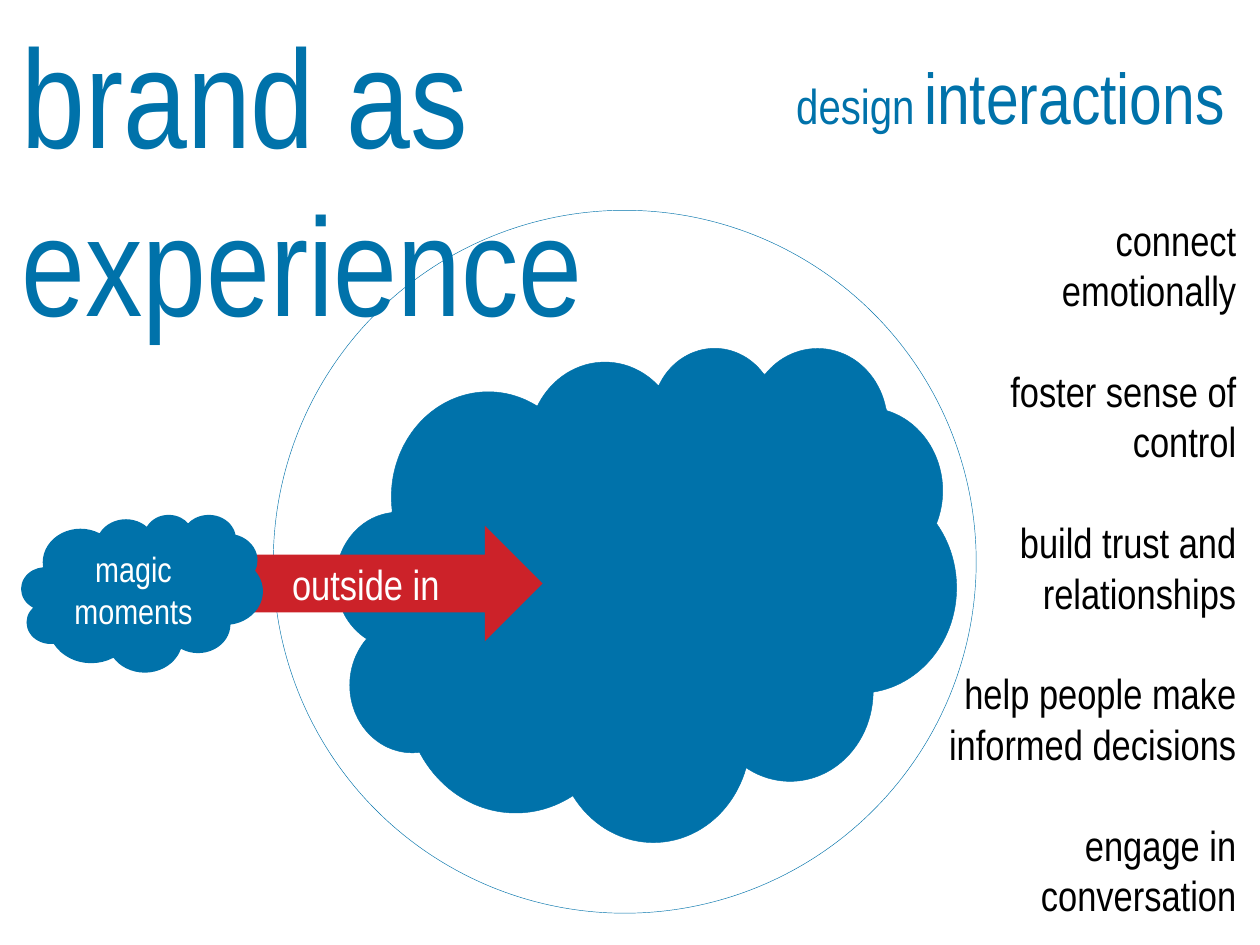
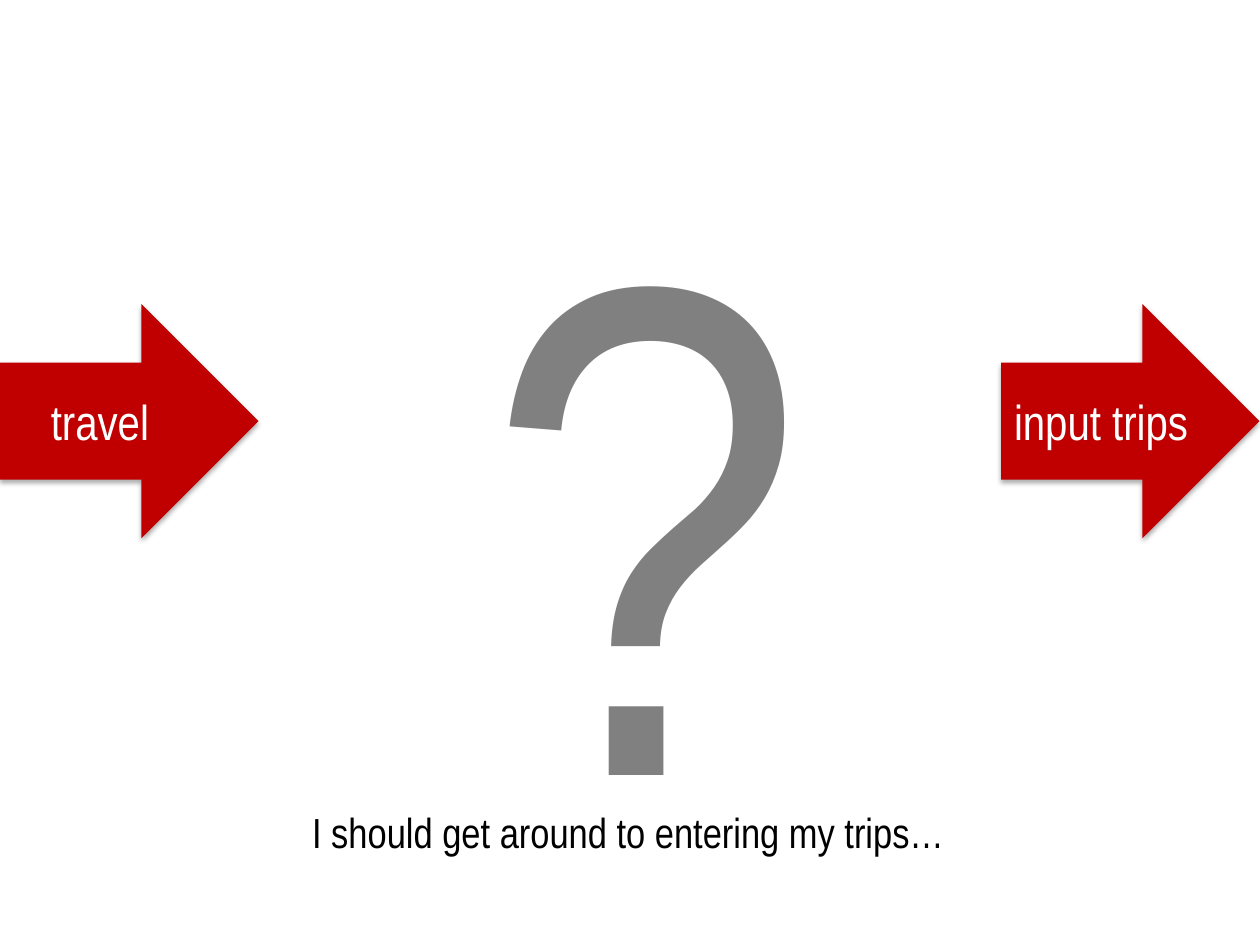
import dataclasses

import lxml.etree
import pptx
import pptx.dml.color
import pptx.enum.shapes
import pptx.enum.text
import pptx.oxml
import pptx.oxml.ns
import pptx.util

Cm = pptx.util.Cm
Pt = pptx.util.Pt
Color = pptx.dml.color.RGBColor
Shapes = pptx.enum.shapes.MSO_SHAPE
Align = pptx.enum.text.PP_ALIGN
Anchor = pptx.enum.text.MSO_ANCHOR


@dataclasses.dataclass(frozen=True)
class Theme:
    font: str = "Arial Narrow"
    blue: Color = Color(0x00, 0x72, 0xAA)
    red: Color = Color(0xCC, 0x22, 0x29)
    dark_red: Color = Color(0xC0, 0x00, 0x00)
    gray: Color = Color(0x80, 0x80, 0x80)
    black: Color = Color(0x00, 0x00, 0x00)
    white: Color = Color(0xFF, 0xFF, 0xFF)
    hairline: float = 0.25
    small: int = 20
    body: int = 24
    label: int = 28
    accent: int = 41
    title: int = 80
    symbol: int = 400


theme = Theme()


def add_figure(page, kind, left, top, width, height, fill, line=None):
    figure = page.shapes.add_shape(kind, Cm(left), Cm(top), Cm(width), Cm(height))
    figure.shadow.inherit = False
    figure.fill.solid()
    figure.fill.fore_color.rgb = fill
    if line is None:
        figure.line.fill.background()
    else:
        figure.line.color.rgb = line
        figure.line.width = Pt(theme.hairline)
    return figure


def write(box, paragraphs, size, color, align, gap=0, inset=(0.25, 0.13), anchor=Anchor.TOP):
    frame = box.text_frame
    frame.word_wrap = True
    frame.vertical_anchor = anchor
    frame.margin_left = frame.margin_right = Cm(inset[0])
    frame.margin_top = frame.margin_bottom = Cm(inset[1])
    for index, text in enumerate(paragraphs):
        para = frame.add_paragraph() if index else frame.paragraphs[0]
        para.text = text
        para.alignment = align
        if index and gap:
            para.space_before = Pt(gap)
        para.font.name = theme.font
        para.font.size = Pt(size)
        para.font.color.rgb = color


deck = pptx.Presentation()
deck.slide_width = Cm(25.4)
deck.slide_height = Cm(19.05)
blank = deck.slide_layouts[6]

page = deck.slides.add_slide(blank)
add_figure(page, Shapes.OVAL, 5.51, 4.24, 14.17, 14.17, theme.white, theme.blue)
add_figure(page, Shapes.CLOUD, 6.78, 6.99, 12.5, 9.96, theme.blue, theme.blue)

goals = [
    "connect emotionally",
    "foster sense of control",
    "build trust and relationships",
    "help people make informed decisions",
    "engage in conversation",
]
goal_box = page.shapes.add_textbox(Cm(18.87), Cm(4.22), Cm(6.25), Cm(15.57))
write(goal_box, goals, theme.body, theme.black, Align.RIGHT, gap=1.2 * theme.body, inset=(0.2, 0.1))

heading = page.shapes.add_textbox(Cm(13.44), Cm(0.97), Cm(11.46), Cm(1.96))
write(heading, [""], theme.accent, theme.blue, Align.RIGHT, inset=(0.2, 0.1))
for text, size in [("design", theme.label), (" ", theme.body), ("interactions", theme.accent)]:
    span = heading.text_frame.paragraphs[0].add_run()
    span.text = text
    span.font.size = Pt(size)

arrow = add_figure(page, Shapes.RIGHT_ARROW, 4.39, 10.6, 6.55, 2.33, theme.red)
write(arrow, ["outside in"], theme.body, theme.white, Align.CENTER, anchor=Anchor.MIDDLE)
moments = add_figure(page, Shapes.CLOUD, 0.43, 10.37, 4.87, 3.18, theme.blue)
write(moments, ["magic", "moments"], theme.small, theme.white, Align.CENTER, anchor=Anchor.MIDDLE)

title = page.shapes.add_textbox(Cm(0.18), Cm(0.05), Cm(25.4), Cm(7.09))
write(title, ["brand as\vexperience"], theme.title, theme.blue, Align.LEFT)

page = deck.slides.add_slide(blank)
for left, text in [(0, "travel"), (20.18, "input trips")]:
    arrow = add_figure(page, Shapes.RIGHT_ARROW, left, 6.13, 5.21, 4.72, theme.dark_red)
    write(arrow, [text], theme.label, theme.white, Align.CENTER, anchor=Anchor.MIDDLE)
    effects = arrow.element.spPr.find(pptx.oxml.ns.qn("a:effectLst"))
    shadow = lxml.etree.SubElement(
        effects, pptx.oxml.ns.qn("a:outerShdw"),
        blurRad=str(Pt(3.1)), dist=str(Pt(1.8)), dir="5400000", rotWithShape="0",
    )
    tint = lxml.etree.SubElement(shadow, pptx.oxml.ns.qn("a:srgbClr"), val=str(theme.black))
    lxml.etree.SubElement(tint, pptx.oxml.ns.qn("a:alpha"), val="35000")

question = page.shapes.add_textbox(Cm(9.55), Cm(1.4), Cm(4.39), Cm(17.35))
write(question, ["?"], theme.symbol, theme.gray, Align.LEFT)
thought = page.shapes.add_textbox(Cm(5), Cm(16.13), Cm(15.32), Cm(1.27))
write(thought, ["I should get around to entering my trips…"], theme.body, theme.black, Align.CENTER)

deck.save("out.pptx")
